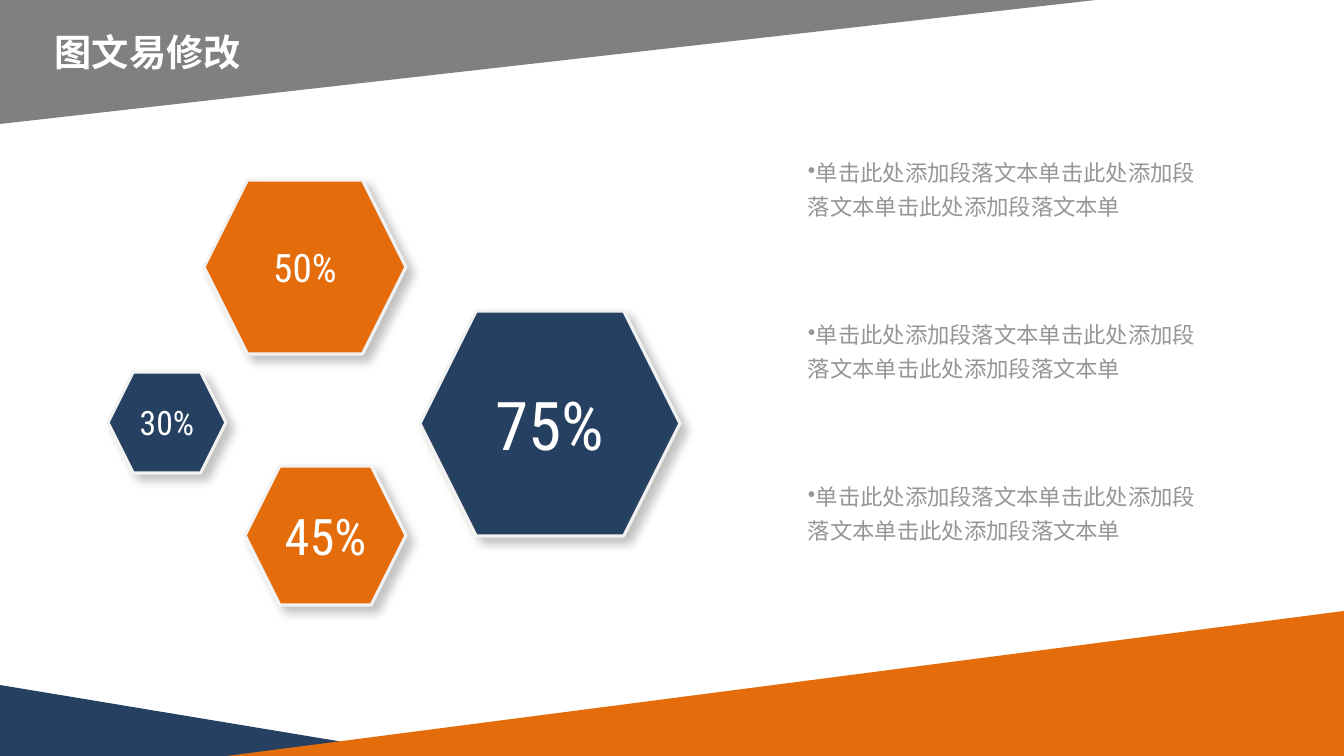
from lxml import etree
from pptx import Presentation
from pptx.dml.color import RGBColor
from pptx.enum.shapes import MSO_SHAPE
from pptx.enum.text import MSO_ANCHOR, PP_ALIGN
from pptx.oxml.ns import qn
from pptx.util import Pt

WIDTH, HEIGHT = 1344, 756
SCALE = 12192000 / WIDTH
NAVY = RGBColor(0x25, 0x40, 0x61)
ORANGE = RGBColor(0xE4, 0x6C, 0x0A)
GREY = RGBColor(0x80, 0x80, 0x80)
PALE = RGBColor(0xF2, 0xF2, 0xF2)
SILVER = RGBColor(0x96, 0x96, 0x96)
WHITE = RGBColor(0xFF, 0xFF, 0xFF)
HEXAGON = MSO_SHAPE.HEXAGON
WEDGE = MSO_SHAPE.RIGHT_TRIANGLE
MIDDLE = MSO_ANCHOR.MIDDLE
CENTER = PP_ALIGN.CENTER
LEFT = PP_ALIGN.LEFT
HAN = "Noto Sans CJK SC"
LATIN = "Roboto Condensed"

WEDGES = [
    ((0, 685, 428, 71), NAVY, None),
    ((227, 611, 1117, 145), ORANGE, "flipH"),
    ((0, 0, 1096, 124), GREY, "flipV"),
]
HEXES = [
    ((204, 180, 202, 174), ORANGE, "50%", 28),
    ((420, 311, 260, 225), NAVY, "75%", 48),
    ((245, 466, 161, 139), ORANGE, "45%", 36),
    ((108, 372, 118, 101), NAVY, "30%", 24),
]
BODY = "单击此处添加段落文本单击此处添加段落文本单击此处添加段落文本单"
ROWS, TOP, STEP = 3, 148, 162


def emu(box):
    """Turn px lengths into EMU."""
    return [round(side * SCALE) for side in box]


def add_run(para, text, size, face, color, bold=False):
    """Add one styled run to a paragraph."""
    run = para.add_run()
    run.text = text
    font = run.font
    font.size, font.name, font.bold = Pt(size), face, bold
    font.color.rgb = color
    east = etree.SubElement(font._element, qn("a:ea"))
    east.set("typeface", face)


def add_shape(slide, kind, box, color):
    """Add a plain filled preset shape."""
    shape = slide.shapes.add_shape(kind, *emu(box))
    shape.shadow.inherit = False
    shape.fill.solid()
    shape.fill.fore_color.rgb = color
    shape.line.fill.background()
    return shape


def add_wedge(slide, box, color, flip):
    """Add a corner triangle, flipped if asked."""
    shape = add_shape(slide, WEDGE, box, color)
    if flip:
        shape._element.spPr.find(qn("a:xfrm")).set(flip, "1")


def add_shadow(shape):
    """Give a shape a soft shadow to the lower right."""
    effects = shape._element.spPr.find(qn("a:effectLst"))
    outer = etree.SubElement(
        effects, qn("a:outerShdw"), blurRad=str(Pt(7)),
        dist=str(Pt(5.9)), dir="2700000", algn="tl", rotWithShape="0")
    tint = etree.SubElement(outer, qn("a:srgbClr"), val="000000")
    etree.SubElement(tint, qn("a:alpha"), val="23000")


def add_hex(slide, box, color, label, size):
    """Add a hexagon with a centred figure."""
    shape = add_shape(slide, HEXAGON, box, color)
    shape.line.color.rgb = PALE
    shape.line.width = Pt(2.25)
    add_shadow(shape)
    frame = shape.text_frame
    frame.word_wrap = False
    frame.vertical_anchor = MIDDLE
    para = frame.paragraphs[0]
    para.alignment = CENTER
    add_run(para, label, size, LATIN, WHITE)


def add_text(slide, box, align):
    """Add a wrapping text box and return its frame."""
    frame = slide.shapes.add_textbox(*emu(box)).text_frame
    frame.word_wrap = True
    frame.paragraphs[0].alignment = align
    return frame


def add_note(slide, box):
    """Add one bulleted note."""
    para = add_text(slide, box, LEFT).paragraphs[0]
    para.line_spacing = 1.24
    props = para._p.get_or_add_pPr()
    etree.SubElement(props, qn("a:buChar"), char="•")
    add_run(para, BODY, 16, HAN, SILVER)


def add_title(slide):
    """Add the slide title."""
    frame = add_text(slide, (0, 29, 296, 45), CENTER)
    frame.margin_left = frame.margin_right = 0
    frame.margin_top = frame.margin_bottom = 0
    frame.vertical_anchor = MIDDLE
    add_run(frame.paragraphs[0], "图文易修改", 26.6, HAN, WHITE, True)


def main():
    """Build and save the slide."""
    deck = Presentation()
    deck.slide_width, deck.slide_height = emu((WIDTH, HEIGHT))
    slide = deck.slides.add_slide(deck.slide_layouts[6])
    for wedge in WEDGES:
        add_wedge(slide, *wedge)
    for item in HEXES:
        add_hex(slide, *item)
    for row in range(ROWS):
        add_note(slide, (798, TOP + row * STEP, 410, 92))
    add_title(slide)
    deck.save("out.pptx")


if __name__ == "__main__":
    main()
